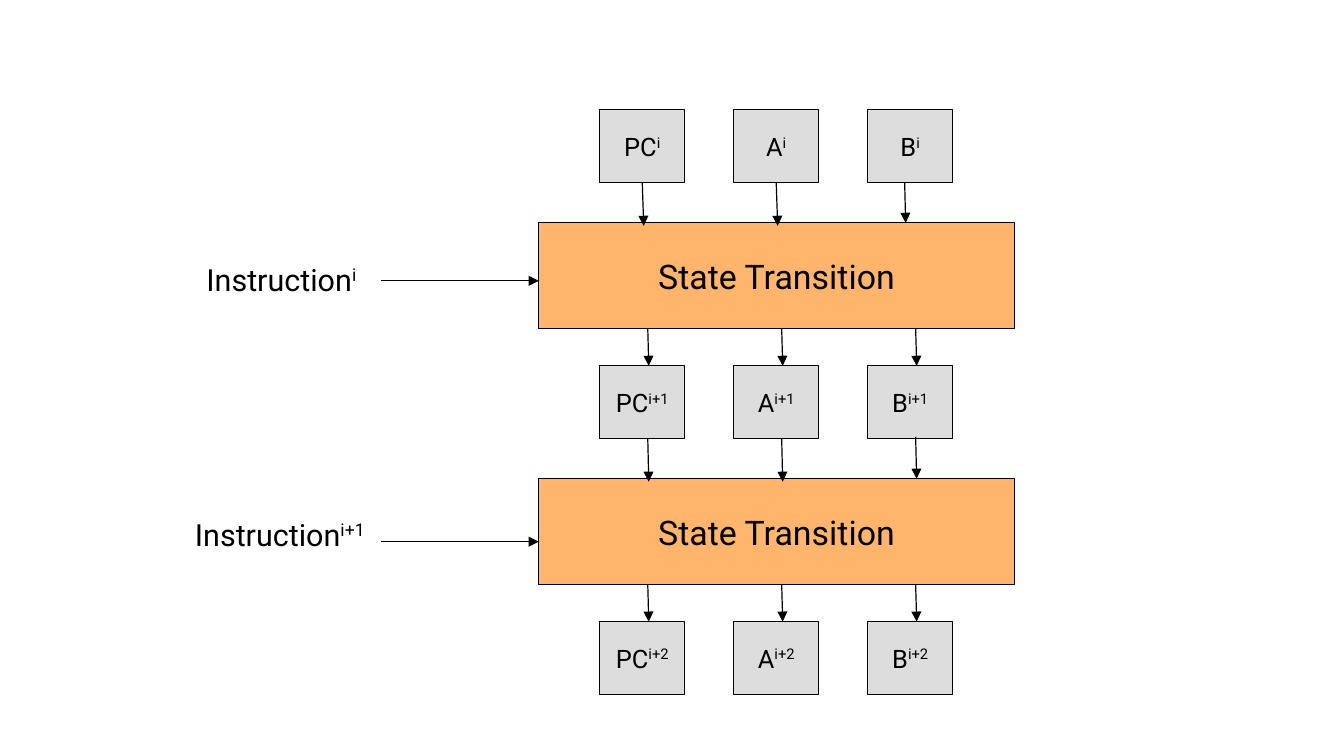
from pptx import Presentation
from pptx import util as u
from pptx.dml.color import RGBColor
from pptx.enum import shapes, text
from pptx.oxml.ns import qn
from lxml import etree

BLACK = RGBColor(0x00, 0x00, 0x00)
GREY = RGBColor(0xDD, 0xDD, 0xDD)
ORANGE = RGBColor(0xFF, 0xB6, 0x6C)
FONT = "Roboto"
LINE_WIDTH = u.Pt(0.71)
SCALE = 914400 / 122

REGISTERS = ["PC", "A", "B"]
STEPS = ["i", "i+1", "i+2"]
COLUMN_PITCH, STEP_PITCH = 134, 256
REGISTER_LEFT, REGISTER_TOP, REGISTER_WIDTH, REGISTER_HEIGHT = 600, 110, 85, 73
STATE_LEFT, STATE_TOP, STATE_WIDTH, STATE_HEIGHT = 539, 223, 476, 106
FLOW_LEFT = 648
INPUT_ARROWS = [
    [(643, 183, 226), (777, 183, 226), (905, 183, 223)],
    [(648, 439, 482), (782, 439, 482), (916, 437, 479)],
]
INSTRUCTIONS = [((178, 232, 207, 95), 281), ((170, 487, 220, 95), 542)]


def px(length):
    """Turn a length in pixels into EMU."""
    return u.Emu(round(length * SCALE))


def write(frame, base, size, superscript=""):
    """Write centred text with an optional superscript."""
    frame.word_wrap = True
    frame.vertical_anchor = text.MSO_ANCHOR.MIDDLE
    paragraph = frame.paragraphs[0]
    paragraph.alignment = text.PP_ALIGN.CENTER
    paragraph.font.name = FONT
    paragraph.font.size = u.Pt(size)
    paragraph.font.color.rgb = BLACK
    paragraph.add_run().text = base
    if superscript:
        exponent = paragraph.add_run()
        exponent.text = superscript
        exponent.font._element.set("baseline", "33000")


def add_box(slide, bounds, fill, base, size, superscript=""):
    """Add an outlined rectangle holding text."""
    box = slide.shapes.add_shape(shapes.MSO_SHAPE.RECTANGLE, *map(px, bounds))
    box.shadow.inherit = False
    box.fill.solid()
    box.fill.fore_color.rgb = fill
    box.line.color.rgb = BLACK
    box.line.width = LINE_WIDTH
    write(box.text_frame, base, size, superscript)
    return box


def add_label(slide, bounds, base, superscript):
    """Add an instruction label without an outline."""
    label = slide.shapes.add_textbox(*map(px, bounds))
    write(label.text_frame, base, 18, superscript)


def add_arrow(slide, x1, y1, x2, y2):
    """Add a thin line with a triangular head at its end."""
    arrow = slide.shapes.add_connector(
        shapes.MSO_CONNECTOR.STRAIGHT, *map(px, (x1, y1, x2, y2)))
    arrow.line.color.rgb = BLACK
    arrow.line.width = LINE_WIDTH
    etree.SubElement(arrow.line._get_or_add_ln(), qn("a:tailEnd"), type="triangle")
    etree.SubElement(arrow._element.spPr, qn("a:effectLst"))
    return arrow


def add_registers(slide, row, step):
    """Add one row of register boxes and return them."""
    top = REGISTER_TOP + row * STEP_PITCH
    return [
        add_box(slide, (REGISTER_LEFT + column * COLUMN_PITCH, top,
                        REGISTER_WIDTH, REGISTER_HEIGHT), GREY, register, 15, step)
        for column, register in enumerate(REGISTERS)
    ]


def add_transition(slide, row):
    """Add a state transition with its instruction and outgoing arrows."""
    top = STATE_TOP + row * STEP_PITCH
    add_box(slide, (STATE_LEFT, top, STATE_WIDTH, STATE_HEIGHT),
            ORANGE, "State Transition", 20)
    label_bounds, arrow_y = INSTRUCTIONS[row]
    add_label(slide, label_bounds, "Instruction", STEPS[row])
    add_arrow(slide, 381, arrow_y, STATE_LEFT, arrow_y)
    bottom = top + STATE_HEIGHT
    next_top = REGISTER_TOP + (row + 1) * STEP_PITCH
    for column in range(len(REGISTERS)):
        x = FLOW_LEFT + column * COLUMN_PITCH
        add_arrow(slide, x, bottom, x + 1, next_top)


def main():
    """Build the state transition slide."""
    deck = Presentation()
    deck.slide_width, deck.slide_height = u.Inches(11.02), u.Inches(6.2)
    slide = deck.slides.add_slide(deck.slide_layouts[6])
    register_rows = [add_registers(slide, row, step) for row, step in enumerate(STEPS)]
    for row, inputs in enumerate(INPUT_ARROWS):
        add_transition(slide, row)
        for column, (x, start, end) in enumerate(inputs):
            arrow = add_arrow(slide, x, start, x + 1, end)
            if row == 0 and column < 2:
                arrow.begin_connect(register_rows[row][column], 2)
    deck.save("out.pptx")


if __name__ == "__main__":
    main()
